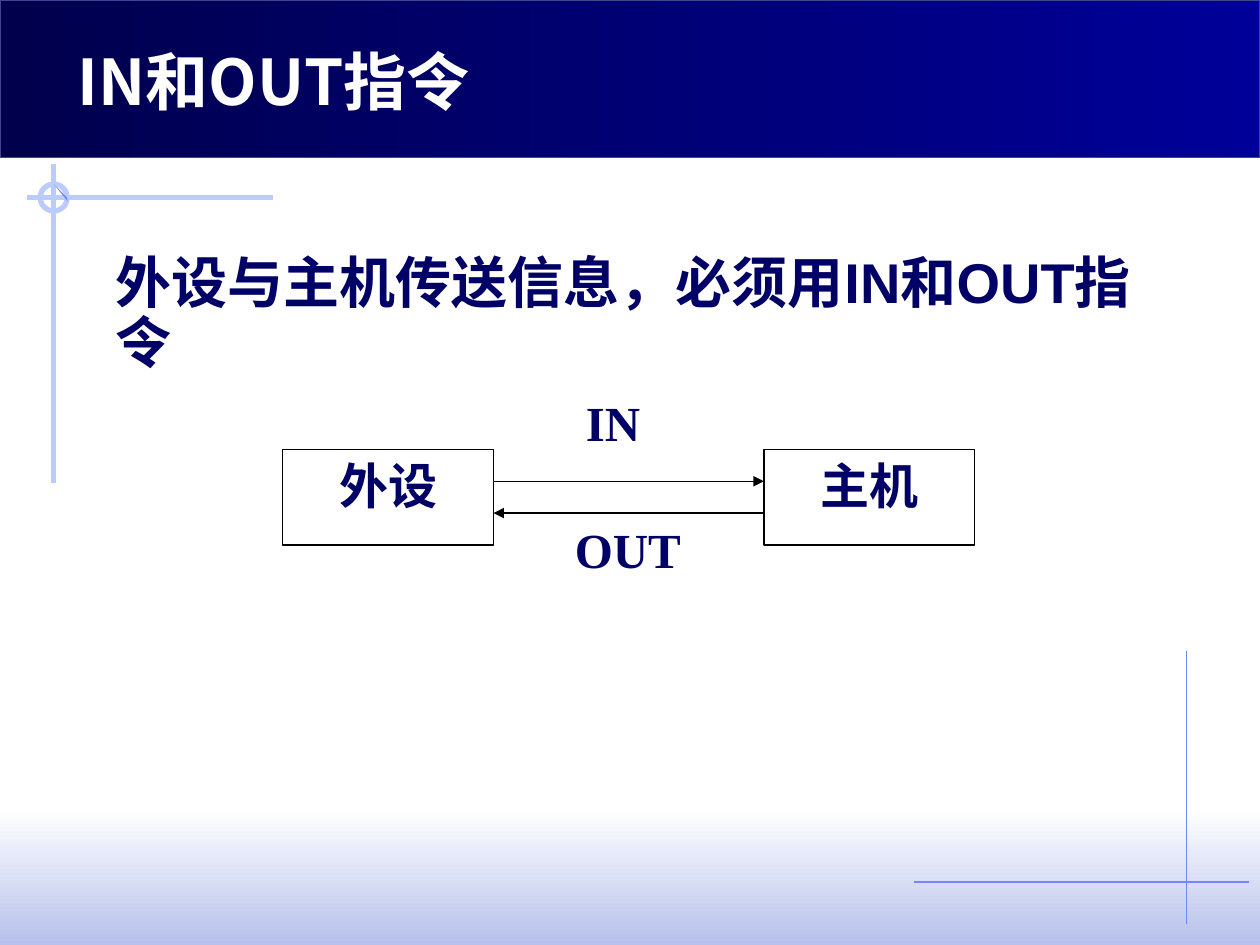
"""Build the slide on the IN and OUT instructions between peripheral and host."""
from lxml import etree
from pptx import Presentation
from pptx.dml.color import RGBColor
from pptx.enum.shapes import MSO_CONNECTOR, MSO_SHAPE
from pptx.enum.text import MSO_ANCHOR, PP_ALIGN
from pptx.oxml.ns import qn
from pptx.util import Pt

RECTANGLE, OVAL = MSO_SHAPE.RECTANGLE, MSO_SHAPE.OVAL
STRAIGHT = MSO_CONNECTOR.STRAIGHT
TOP, BOTTOM = MSO_ANCHOR.TOP, MSO_ANCHOR.BOTTOM
CENTER = PP_ALIGN.CENTER
color = RGBColor.from_string
NAVY, PALE_BLUE, MID_BLUE = "000066", "BBCBFD", "6F89F7"
SANS = "Noto Sans CJK JP"


def add_line(x1, y1, x2, y2, line_color, width):
    line = slide.shapes.add_connector(STRAIGHT, Pt(x1), Pt(y1), Pt(x2), Pt(y2))
    line.line.color.rgb = color(line_color)
    line.line.width = Pt(width)
    etree.SubElement(line._element.spPr, qn("a:effectLst"))
    return line


def write(shape, text, size, font, text_color, anchor=TOP):
    frame = shape.text_frame
    frame.word_wrap = True
    frame.vertical_anchor = anchor
    paragraph = frame.paragraphs[0]
    run = paragraph.add_run()
    run.text = text
    run.font.size = Pt(size)
    run.font.bold = True
    run.font.name = font
    run.font.color.rgb = color(text_color)
    etree.SubElement(run._r.get_or_add_rPr(), qn("a:ea"), typeface=SANS)
    return paragraph


prs = Presentation()
prs.slide_width, prs.slide_height = Pt(720), Pt(540)
slide = prs.slides.add_slide(prs.slide_layouts[6])

bands = [
    (462, 78, 270, "FFFFFF", "B7C1EB", None),
    (0, 90, 0, "00004D", "000099", "40458C"),
]
for top, height, angle, start, end, outline in bands:
    band = slide.shapes.add_shape(RECTANGLE, 0, Pt(top), Pt(720), Pt(height))
    band.shadow.inherit = False
    band.fill.gradient()
    band.fill.gradient_angle = angle
    for stop, stop_color in zip(band.fill.gradient_stops, (start, end)):
        stop.color.rgb = color(stop_color)
    if outline:
        band.line.color.rgb = color(outline)
        band.line.width = Pt(0.75)
    else:
        band.line.fill.background()

add_line(678, 372, 678, 528, MID_BLUE, 0.75)
add_line(522, 504, 714, 504, MID_BLUE, 0.75)
add_line(156, 113, 15.5, 113, PALE_BLUE, 3)
add_line(30.7, 93.5, 30.7, 276, PALE_BLUE, 3)

ring = slide.shapes.add_shape(OVAL, Pt(23), Pt(105.2), Pt(15.4), Pt(15.4))
ring.shadow.inherit = False
ring.fill.background()
ring.line.color.rgb = color(PALE_BLUE)
ring.line.width = Pt(3)

sliver_outline = slide.shapes.build_freeform(Pt(30.7), Pt(105.2), scale=1.0)
sliver_outline.add_line_segments([(Pt(38.4), Pt(113)), (Pt(38.6), Pt(115))])
sliver = sliver_outline.convert_to_shape()
sliver.shadow.inherit = False
sliver.fill.solid()
sliver.fill.fore_color.rgb = color(MID_BLUE)
sliver.line.fill.background()

title = slide.shapes.add_textbox(Pt(37.5), Pt(18.7), Pt(509), Pt(52.5))
write(title, "IN和OUT指令", 36, SANS, "FFFFFF", BOTTOM)

statement = slide.shapes.add_textbox(Pt(59), Pt(142), Pt(607), Pt(353))
statement_text = write(
    statement, "外设与主机传送信息，必须用IN和OUT指令", 32, "Arial", NAVY)
statement_text.line_spacing = 0.9
statement_text.space_before = Pt(6.4)

blocks = [
    ("OUT", 316, 293.5, 85.5, "FFFFFF"),
    ("IN", 316, 220.5, 68.5, "FFFFFF"),
    ("外设", 161.5, 257, 120.5, "000000"),
    ("主机", 436.5, 257, 120.5, "000000"),
]
for label, left, top, width, outline in blocks:
    block = slide.shapes.add_shape(RECTANGLE, Pt(left), Pt(top), Pt(width), Pt(54.5))
    block.shadow.inherit = False
    block.fill.solid()
    block.fill.fore_color.rgb = color("FFFFFF")
    block.line.color.rgb = color(outline)
    block.line.width = Pt(0.75)
    write(block, label, 28, "Times New Roman", NAVY).alignment = CENTER

for start, end, y in [(282, 436.5, 275), (436.5, 282, 293.2)]:
    arrow = add_line(start, y, end, y, "000000", 0.75)
    etree.SubElement(arrow.line._get_or_add_ln(), qn("a:tailEnd"), type="triangle")

prs.save("out.pptx")
